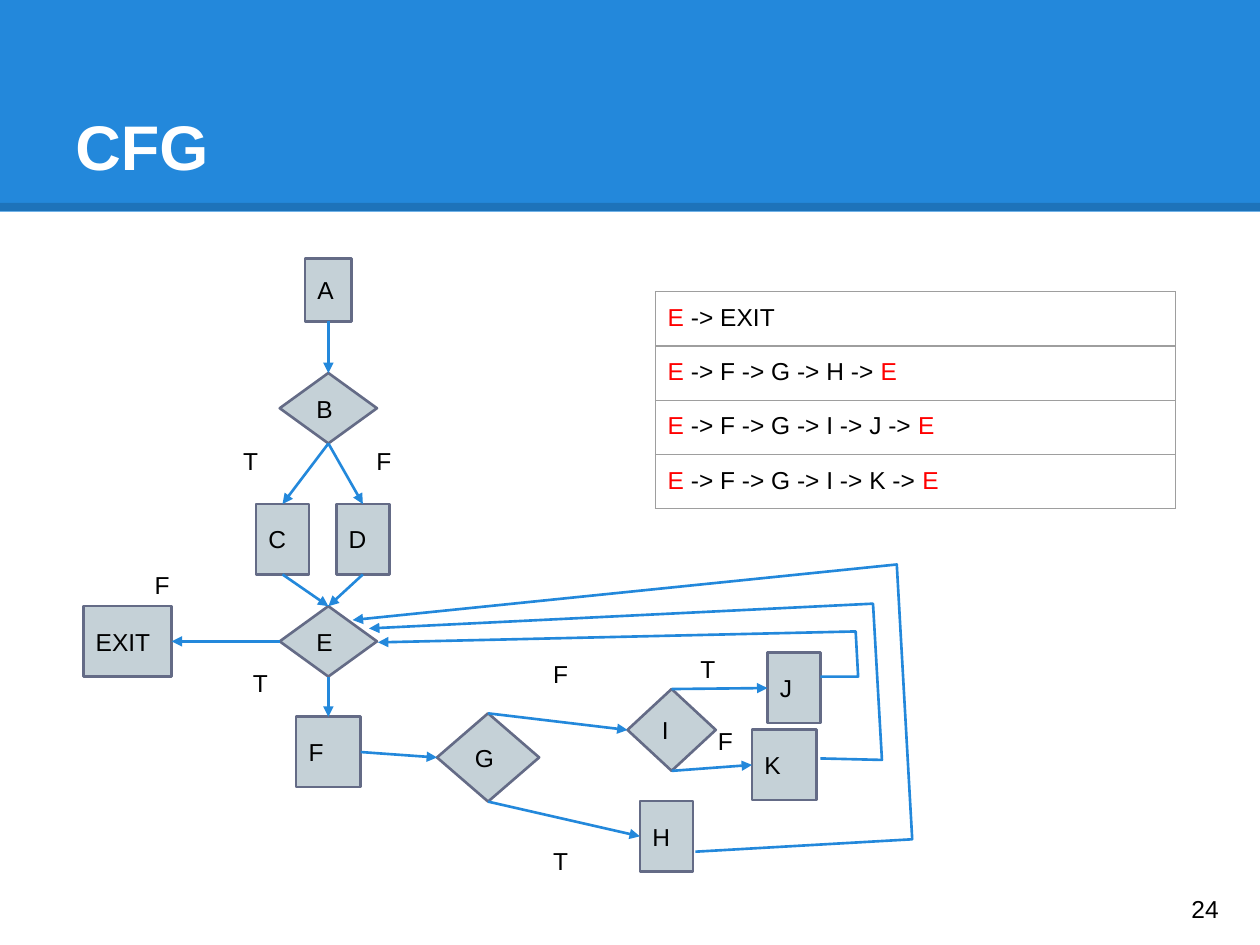
from lxml.etree import SubElement
from pptx import Presentation
from pptx.dml.color import RGBColor
from pptx.enum.shapes import MSO_CONNECTOR, MSO_SHAPE
from pptx.enum.text import MSO_ANCHOR, PP_ALIGN
from pptx.oxml.ns import qn
from pptx.util import Cm, Pt

BLUE = RGBColor(0x23, 0x88, 0xDB)
NODE_FILL = RGBColor(0xC5, 0xD1, 0xD7)
NODE_LINE = RGBColor(0x64, 0x6B, 0x86)
GRID = RGBColor(0x9E, 0x9E, 0x9E)
RED = RGBColor(0xFF, 0, 0)
BLACK = RGBColor(0, 0, 0)
WHITE = RGBColor(0xFF, 0xFF, 0xFF)

TOP, LEFT, BOTTOM, RIGHT = range(4)
INSET = Cm(0.25)

# Lengths in centimetres: left, top, width, height
BLOCKS = {
    "A": (6.15, 5.21, 0.94, 1.27),
    "C": (5.16, 10.16, 1.07, 1.42),
    "D": (6.78, 10.16, 1.07, 1.42),
    "EXIT": (1.68, 12.22, 1.78, 1.42),
    "F": (5.97, 14.45, 1.3, 1.42),
    "H": (12.9, 16.15, 1.07, 1.42),
    "J": (15.47, 13.16, 1.07, 1.42),
    "K": (15.16, 14.71, 1.3, 1.42),
}
DECISIONS = {
    "B": (5.64, 7.52, 1.96, 1.42),
    "E": (5.64, 12.22, 1.96, 1.42),
    "G": (8.81, 14.38, 2.06, 1.78),
    "I": (12.65, 13.89, 1.78, 1.65),
}
EDGES = [
    ("A", BOTTOM, "B", TOP),
    ("B", BOTTOM, "C", TOP),
    ("B", BOTTOM, "D", TOP),
    ("C", BOTTOM, "E", TOP),
    ("D", BOTTOM, "E", TOP),
    ("E", LEFT, "EXIT", RIGHT),
    ("E", BOTTOM, "F", TOP),
    ("F", RIGHT, "G", LEFT),
    ("G", TOP, "I", LEFT),
    ("G", BOTTOM, "H", LEFT),
    ("I", TOP, "J", LEFT),
    ("I", BOTTOM, "K", LEFT),
]
LOOPS_TO_E = [
    [(16.54, 13.64), (17.3, 13.64), (17.25, 12.73), (7.62, 12.95)],
    [(16.54, 15.29), (17.78, 15.32), (17.6, 12.17), (7.44, 12.67)],
    [(14.02, 17.17), (18.39, 16.92), (18.08, 11.38), (7.11, 12.5)],
]
BRANCH_LABELS = [
    ("T", 4.65, 8.74), ("F", 7.34, 8.74),
    ("F", 2.87, 11.25), ("T", 4.85, 13.21),
    ("F", 10.9, 13.03), ("T", 10.9, 16.81),
    ("T", 13.87, 12.93), ("F", 14.22, 14.38),
]
LOOP_PATHS = [
    [("E ", RED), ("-> EXIT", BLACK)],
    [("E", RED), (" -> F -> G -> H -> ", BLACK), ("E", RED)],
    [("E", RED), (" -> F -> G -> I -> J -> ", BLACK), ("E", RED)],
    [("E", RED), (" -> F -> G -> I -> K -> ", BLACK), ("E", RED)],
]


def write(frame, spans, size=14, bold=False):
    para = frame.paragraphs[0]
    para.alignment = PP_ALIGN.LEFT
    for text, color in spans:
        span = para.add_run()
        span.text = text
        span.font.name = "Arial"
        span.font.size = Pt(size)
        span.font.bold = bold
        span.font.color.rgb = color


def set_frame(frame, anchor):
    frame.word_wrap = True
    frame.vertical_anchor = anchor
    frame.margin_left = frame.margin_right = INSET
    frame.margin_top = frame.margin_bottom = INSET


def add_text(page, place, text, anchor=MSO_ANCHOR.TOP, color=BLACK, **style):
    box = page.shapes.add_textbox(*map(Cm, place))
    set_frame(box.text_frame, anchor)
    write(box.text_frame, [(text, color)], **style)


def add_node(page, kind, name, place):
    node = page.shapes.add_shape(kind, *map(Cm, place))
    node.shadow.inherit = False
    node.fill.solid()
    node.fill.fore_color.rgb = NODE_FILL
    node.line.color.rgb = NODE_LINE
    node.line.width = Pt(1.5)
    set_frame(node.text_frame, MSO_ANCHOR.MIDDLE)
    write(node.text_frame, [(name, BLACK)])
    return node


def add_line(page, *ends):
    line = page.shapes.add_connector(MSO_CONNECTOR.STRAIGHT, *map(Cm, ends))
    SubElement(line._element.spPr, qn("a:effectLst"))
    return line


def style_arrow(arrow):
    arrow.line.color.rgb = BLUE
    arrow.line.width = Pt(1.5)
    SubElement(arrow.line._get_or_add_ln(), qn("a:tailEnd"), type="triangle")


def add_banner(page):
    banner = page.shapes.add_shape(MSO_SHAPE.RECTANGLE, 0, 0, Cm(25.4), Cm(4.27))
    banner.shadow.inherit = False
    banner.fill.solid()
    banner.fill.fore_color.rgb = BLUE
    banner.line.fill.background()
    rule = add_line(page, 0, 4.17, 25.4, 4.17)
    rule.line.color.rgb = BLACK
    rule.line.width = Pt(4.5)
    color = rule.line._get_or_add_ln().find(".//" + qn("a:srgbClr"))
    SubElement(color, qn("a:alpha"), val="15000")
    add_text(page, (1.27, 0.76, 22.86, 3.18), "CFG", MSO_ANCHOR.BOTTOM, WHITE,
             size=36, bold=True)


def add_graph(page):
    nodes = {}
    for kind, group in ((MSO_SHAPE.RECTANGLE, BLOCKS), (MSO_SHAPE.DIAMOND, DECISIONS)):
        for name, place in group.items():
            nodes[name] = add_node(page, kind, name, place)
    for source, source_side, target, target_side in EDGES:
        edge = add_line(page, 0, 0, 0, 0)
        edge.begin_connect(nodes[source], source_side)
        edge.end_connect(nodes[target], target_side)
        style_arrow(edge)
    for points in LOOPS_TO_E:
        start, *rest = [(Cm(x), Cm(y)) for x, y in points]
        builder = page.shapes.build_freeform(*start)
        builder.add_line_segments(rest, close=False)
        loop = builder.convert_to_shape()
        loop.shadow.inherit = False
        loop.fill.background()
        style_arrow(loop)
    for text, left, top in BRANCH_LABELS:
        add_text(page, (left, top, 0.94, 1.27), text)


def add_borders(cell):
    properties = cell._tc.get_or_add_tcPr()
    for side in ("lnL", "lnR", "lnT", "lnB"):
        border = SubElement(properties, qn("a:" + side), w=str(Pt(0.75)))
        fill = SubElement(border, qn("a:solidFill"))
        SubElement(fill, qn("a:srgbClr"), val=str(GRID))


def add_path_table(page):
    row_height = Cm(1.06)
    count = len(LOOP_PATHS)
    table = page.shapes.add_table(count, 1, Cm(13.21), Cm(5.88), Cm(10.49),
                                  row_height * count).table
    table.first_row = table.horz_banding = False
    for row, spans in zip(table.rows, LOOP_PATHS):
        row.height = row_height
        cell = row.cells[0]
        cell.margin_left = cell.margin_right = INSET
        cell.margin_top = cell.margin_bottom = INSET
        add_borders(cell)
        cell.fill.solid()
        cell.fill.fore_color.rgb = WHITE
        write(cell.text_frame, spans)


def main():
    deck = Presentation()
    deck.slide_width, deck.slide_height = Cm(25.4), Cm(19.05)
    page = deck.slides.add_slide(deck.slide_layouts[6])
    add_banner(page)
    add_graph(page)
    add_path_table(page)
    add_text(page, (23.77, 17.6, 1.52, 1.45), "24", MSO_ANCHOR.MIDDLE)
    deck.save("out.pptx")


if __name__ == "__main__":
    main()
